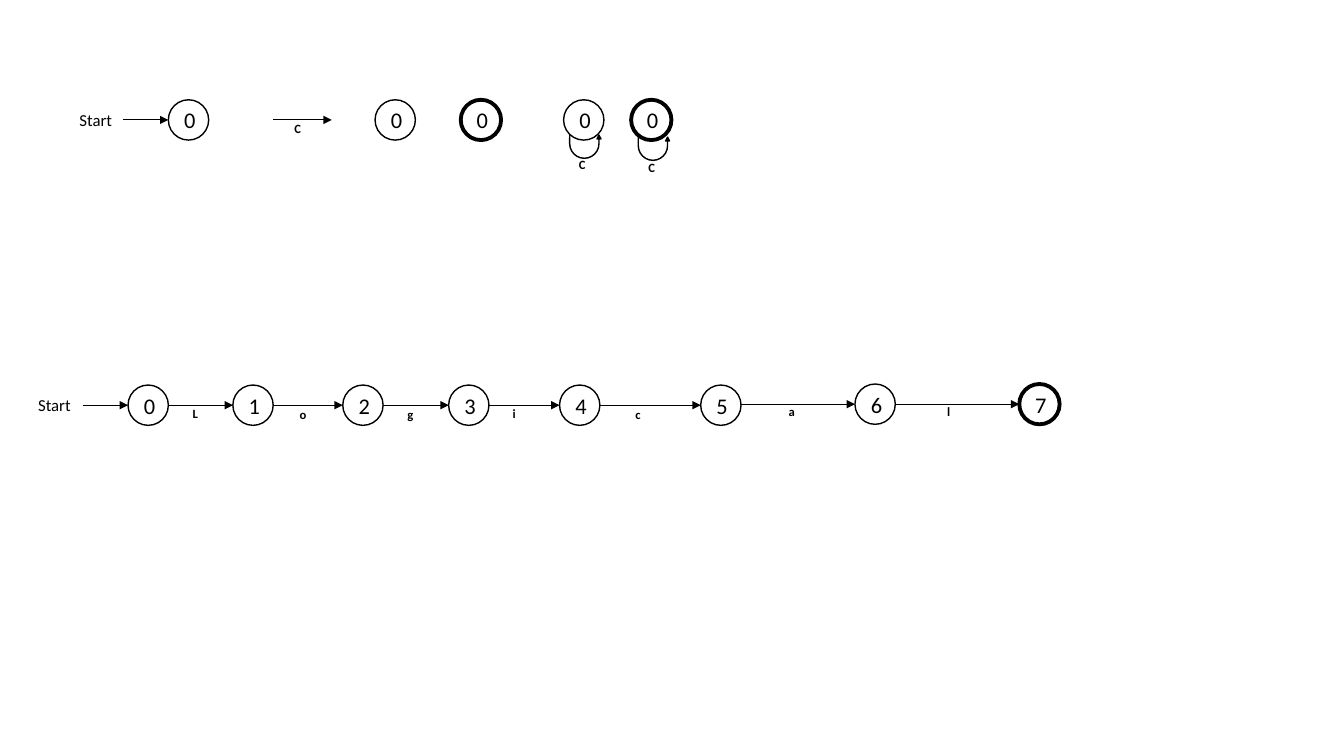
from pptx import Presentation
from pptx.dml.color import RGBColor
from pptx.enum.shapes import MSO_CONNECTOR, MSO_SHAPE
from pptx.enum.text import MSO_ANCHOR, MSO_AUTO_SIZE, PP_ALIGN
from pptx.oxml.ns import qn
from pptx.util import Inches, Pt
from lxml import etree

STRAIGHT = MSO_CONNECTOR.STRAIGHT
OVAL = MSO_SHAPE.OVAL
U_TURN = MSO_SHAPE.U_TURN_ARROW
MIDDLE = MSO_ANCHOR.MIDDLE
FIT_SHAPE = MSO_AUTO_SIZE.SHAPE_TO_FIT_TEXT
LEFT, CENTER = PP_ALIGN.LEFT, PP_ALIGN.CENTER

BLACK = RGBColor(0, 0, 0)
FONT = "Calibri"
STATE_SIZE = 0.4
LEGEND_Y = 1.19
CHAIN_Y = 4.02
START_LENGTH = 0.45


def write(frame, text, size, bold=False, align=CENTER):
    paragraph = frame.paragraphs[0]
    paragraph.alignment = align
    run = paragraph.add_run()
    run.text = text
    run.font.name = FONT
    run.font.size = Pt(size)
    run.font.bold = bold
    run.font.color.rgb = BLACK


def add_label(slide, text, left, top, width=0.16, height=0.25, **text_format):
    box = slide.shapes.add_textbox(Inches(left), Inches(top), Inches(width), Inches(height))
    box.text_frame.word_wrap = False
    box.text_frame.auto_size = FIT_SHAPE
    write(box.text_frame, text, **text_format)


def add_symbol(slide, symbol, left, top):
    add_label(slide, symbol, left, top, size=9, bold=True)


def add_state(slide, number, left, middle, accepting=False):
    state = slide.shapes.add_shape(OVAL, Inches(left), Inches(middle - STATE_SIZE / 2),
                                   Inches(STATE_SIZE), Inches(STATE_SIZE))
    state.shadow.inherit = False
    state.fill.background()
    state.line.color.rgb = BLACK
    state.line.width = Pt(2.75 if accepting else 1)
    state.text_frame.word_wrap = True
    state.text_frame.vertical_anchor = MIDDLE
    write(state.text_frame, str(number), size=16)


def add_arrow(slide, start_x, end_x, middle):
    arrow = slide.shapes.add_connector(STRAIGHT, Inches(start_x), Inches(middle),
                                       Inches(end_x), Inches(middle))
    arrow.line.color.rgb = BLACK
    arrow.line.width = Pt(0.75)
    etree.SubElement(arrow.line._get_or_add_ln(), qn("a:tailEnd"), type="triangle")
    etree.SubElement(arrow._element.spPr, qn("a:effectLst"))


def add_start(slide, state_left, middle, label_left):
    add_label(slide, "Start", label_left, middle - 0.15, 0.53, 0.3, size=12, align=LEFT)
    add_arrow(slide, state_left - START_LENGTH, state_left, middle)
    add_state(slide, 0, state_left, middle)


def add_loop(slide, left, top):
    loop = slide.shapes.add_shape(U_TURN, Inches(left), Inches(top), Inches(0.31), Inches(0.23))
    loop.shadow.inherit = False
    for index, value in enumerate((0, 0.085, 0.164, 0.717, 1)):
        loop.adjustments[index] = value
    loop.rotation = 180
    loop._element.spPr.find(qn("a:xfrm")).set("flipH", "1")
    loop.fill.solid()
    loop.fill.fore_color.rgb = BLACK
    loop.line.color.rgb = BLACK
    loop.line.width = Pt(1)


def add_legend(slide):
    add_start(slide, 1.67, LEGEND_Y, label_left=0.69)
    add_arrow(slide, 2.71, 3.29, LEGEND_Y)
    add_symbol(slide, "C", 2.86, 1.15)
    add_state(slide, 0, 3.72, LEGEND_Y)
    add_state(slide, 0, 4.57, LEGEND_Y, accepting=True)

    # States that loop back to themselves
    for state_left, loop_left, loop_top, symbol_left, symbol_top, accepting in (
            (5.59, 5.65, 1.34, 5.68, 1.51, False),
            (6.26, 6.33, 1.36, 6.37, 1.54, True)):
        add_state(slide, 0, state_left, LEGEND_Y, accepting)
        add_loop(slide, loop_left, loop_top)
        add_symbol(slide, "C", symbol_left, symbol_top)


def add_chain(slide):
    # Symbol, its left and top, then the left and middle of the state it leads to
    transitions = (
        ("L", 1.85, 3.98, 2.31, CHAIN_Y),
        ("o", 2.91, 3.99, 3.4, CHAIN_Y),
        ("g", 3.98, 3.99, 4.45, CHAIN_Y),
        ("i", 5.02, 3.98, 5.55, CHAIN_Y),
        ("c", 6.24, 3.99, 6.95, CHAIN_Y),
        ("a", 7.76, 3.96, 8.48, CHAIN_Y - 0.01),
        ("l", 9.33, 3.96, 10.11, CHAIN_Y - 0.01),
    )
    previous_left = 1.27
    add_start(slide, previous_left, CHAIN_Y, label_left=0.28)
    for number, (symbol, symbol_left, symbol_top, left, middle) in enumerate(transitions, 1):
        add_arrow(slide, previous_left + STATE_SIZE, left, middle)
        add_symbol(slide, symbol, symbol_left, symbol_top)
        add_state(slide, number, left, middle, accepting=number == len(transitions))
        previous_left = left


def main():
    deck = Presentation()
    deck.slide_width = Inches(13.33)
    deck.slide_height = Inches(7.5)
    slide = deck.slides.add_slide(deck.slide_layouts[6])
    # Building blocks of the automaton
    add_legend(slide)
    # Automaton that accepts the word
    add_chain(slide)
    deck.save("out.pptx")


if __name__ == "__main__":
    main()
